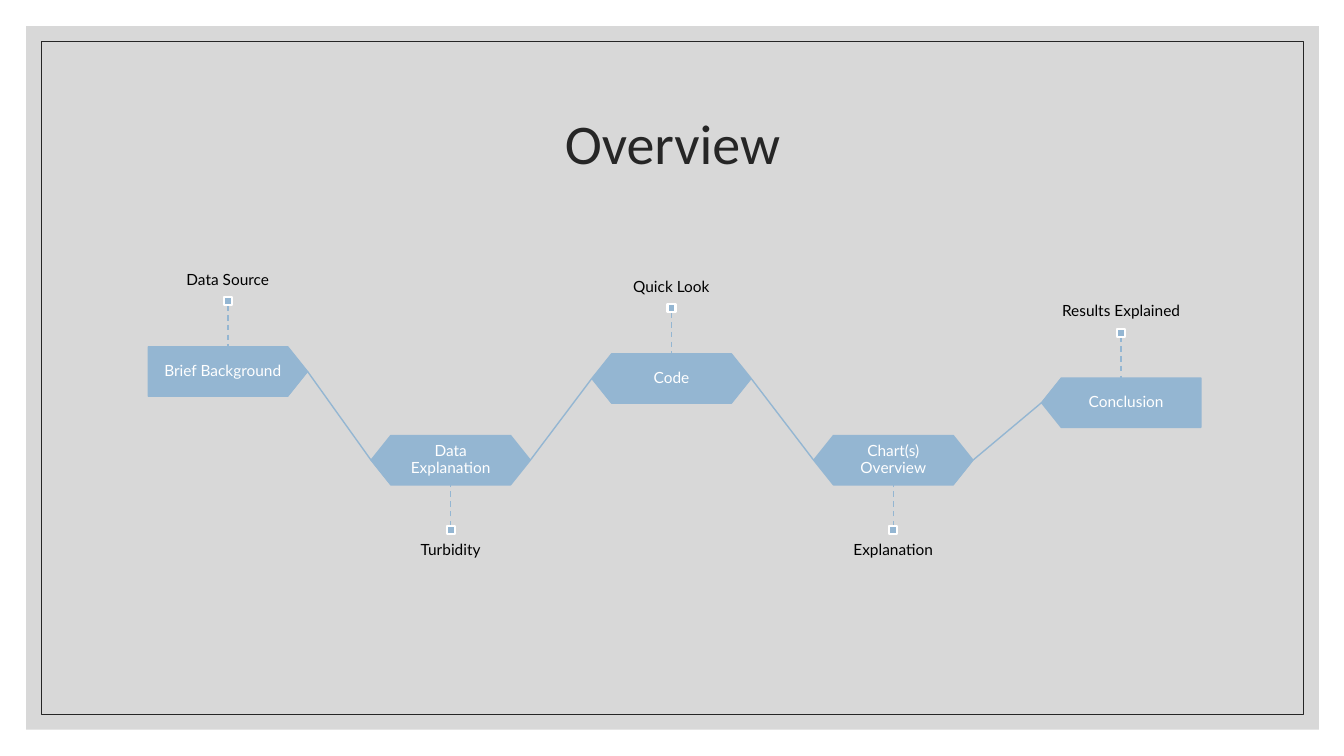
from lxml import etree
from pptx import Presentation
from pptx.dml.color import RGBColor
from pptx.enum.dml import MSO_LINE
from pptx.enum.shapes import MSO_CONNECTOR, MSO_SHAPE
from pptx.enum.text import MSO_ANCHOR, PP_ALIGN
from pptx.oxml.ns import qn
from pptx.util import Inches, Pt

WHITE = RGBColor(0xFF, 0xFF, 0xFF)
BLACK = RGBColor(0x00, 0x00, 0x00)
INK = RGBColor(0x26, 0x26, 0x26)
GREY = RGBColor(0xBF, 0xBF, 0xBF)
BLUE = RGBColor(0x94, 0xB6, 0xD2)

STEP_WIDTH, STEP_HEIGHT = 1.58, 0.49
LABEL_WIDTH, LABEL_HEIGHT = 2.2, 1.3
STALK, MARKER = 0.41, 0.08

STEPS = [
    ("Brief Background", "Data Source", 1.47, 3.44, "start"),
    ("Data Explanation", "Turbidity", 3.68, 4.32, "below"),
    ("Code", "Quick Look", 5.87, 3.51, "above"),
    ("Chart(s) Overview", "Explanation", 8.07, 4.32, "below"),
    ("Conclusion", "Results Explained", 10.33, 3.75, "end"),
]


def add_box(page, kind, left, top, width, height, fill=None, line=BLUE, weight=1):
    box = page.shapes.add_shape(
        kind, Inches(left), Inches(top), Inches(width), Inches(height))
    box.shadow.inherit = False
    if fill is None:
        box.fill.background()
    else:
        box.fill.solid()
        box.fill.fore_color.rgb = fill
    if line is None:
        box.line.fill.background()
    else:
        box.line.color.rgb = line
        box.line.width = Pt(weight)
    return box


def add_line(page, x1, y1, x2, y2):
    line = page.shapes.add_connector(
        MSO_CONNECTOR.STRAIGHT, Inches(x1), Inches(y1), Inches(x2), Inches(y2))
    line.line.color.rgb = BLUE
    line.line.width = Pt(1)
    etree.SubElement(line.element.spPr, qn("a:effectLst"))
    return line


def format_text(frame, size, font, color, anchor):
    frame.word_wrap = True
    frame.vertical_anchor = anchor
    for para in frame.paragraphs:
        para.alignment = PP_ALIGN.CENTER
        para.line_spacing = 0.9
        for span in para.runs:
            span.font.size = Pt(size)
            span.font.name = font
            span.font.color.rgb = color


def add_text(page, text, left, top, width, height, color, anchor, inset_x, inset_y):
    box = page.shapes.add_textbox(
        Inches(left), Inches(top), Inches(width), Inches(height))
    frame = box.text_frame
    frame.margin_left = frame.margin_right = Inches(inset_x)
    frame.margin_top = frame.margin_bottom = Inches(inset_y)
    frame.text = text
    format_text(frame, 11, "Lato", color, anchor)


def add_backdrop(page, left, top, width, height):
    panel = add_box(page, MSO_SHAPE.RECTANGLE, left, top, width, height, GREY, None)
    tint = panel.fill._xPr.find(f".//{qn('a:srgbClr')}")
    etree.SubElement(tint, qn("a:alpha"), val="60000")
    add_box(page, MSO_SHAPE.RECTANGLE, left + 0.15, top + 0.15,
            width - 0.3, height - 0.3, line=INK, weight=0.5)


def add_title(page, text, left, top, width, height):
    title = page.shapes.title
    title.left, title.top = Inches(left), Inches(top)
    title.width, title.height = Inches(width), Inches(height)
    title.text_frame.text = text
    format_text(title.text_frame, 40, "Calibri", INK, MSO_ANCHOR.MIDDLE)
    title.element.getparent().append(title.element)


def add_step(page, name, left, top, role):
    kind = MSO_SHAPE.PENTAGON if role in ("start", "end") else MSO_SHAPE.HEXAGON
    step = add_box(page, kind, left, top, STEP_WIDTH, STEP_HEIGHT, BLUE)
    step.adjustments[0] = 0.4
    if role == "end":
        step.rotation = 180
    pad_left = {"start": 0, "end": 0.1}.get(role, 0.2)
    pad_right = {"start": 0.1, "end": 0}.get(role, 0.2)
    pad_y = 0 if role in ("start", "end") else 0.06
    add_text(page, name, left + pad_left, top + pad_y,
             STEP_WIDTH - pad_left - pad_right, STEP_HEIGHT - 2 * pad_y,
             WHITE, MSO_ANCHOR.MIDDLE, 0.09, 0.09)


def add_callout(page, label, left, top, role):
    center = left + STEP_WIDTH / 2
    if role == "below":
        edge = top + STEP_HEIGHT
        tip = marker_top = edge + STALK
        label_top, anchor, side = tip + MARKER, MSO_ANCHOR.TOP, 0
    else:
        edge = top
        tip = edge - STALK
        marker_top = tip - MARKER
        label_top, anchor, side = marker_top - LABEL_HEIGHT, MSO_ANCHOR.BOTTOM, 2
    add_text(page, label, center - LABEL_WIDTH / 2, label_top,
             LABEL_WIDTH, LABEL_HEIGHT, BLACK, anchor, 0, 0.11)
    stalk = add_line(page, center, tip, center, edge)
    stalk.line.dash_style = MSO_LINE.DASH
    marker = add_box(page, MSO_SHAPE.RECTANGLE, center - MARKER / 2, marker_top,
                     MARKER, MARKER, BLUE, WHITE, 1.5)
    stalk.begin_connect(marker, side)


def add_timeline(page, steps):
    for name, label, left, top, role in steps:
        add_step(page, name, left, top, role)
        add_callout(page, label, left, top, role)
    middle = STEP_HEIGHT / 2
    for (_, _, left, top, _), (_, _, next_left, next_top, _) in zip(steps, steps[1:]):
        add_line(page, left + STEP_WIDTH, top + middle, next_left, next_top + middle)


def main():
    deck = Presentation()
    deck.slide_width, deck.slide_height = Inches(13.33), Inches(7.5)
    page = deck.slides.add_slide(deck.slide_layouts[5])
    page.background.fill.solid()
    page.background.fill.fore_color.rgb = WHITE
    add_backdrop(page, 0.26, 0.26, 12.82, 6.98)
    add_title(page, "Overview", 1.17, 0.7, 11, 1.5)
    add_timeline(page, STEPS)
    deck.save("out.pptx")


if __name__ == "__main__":
    main()
